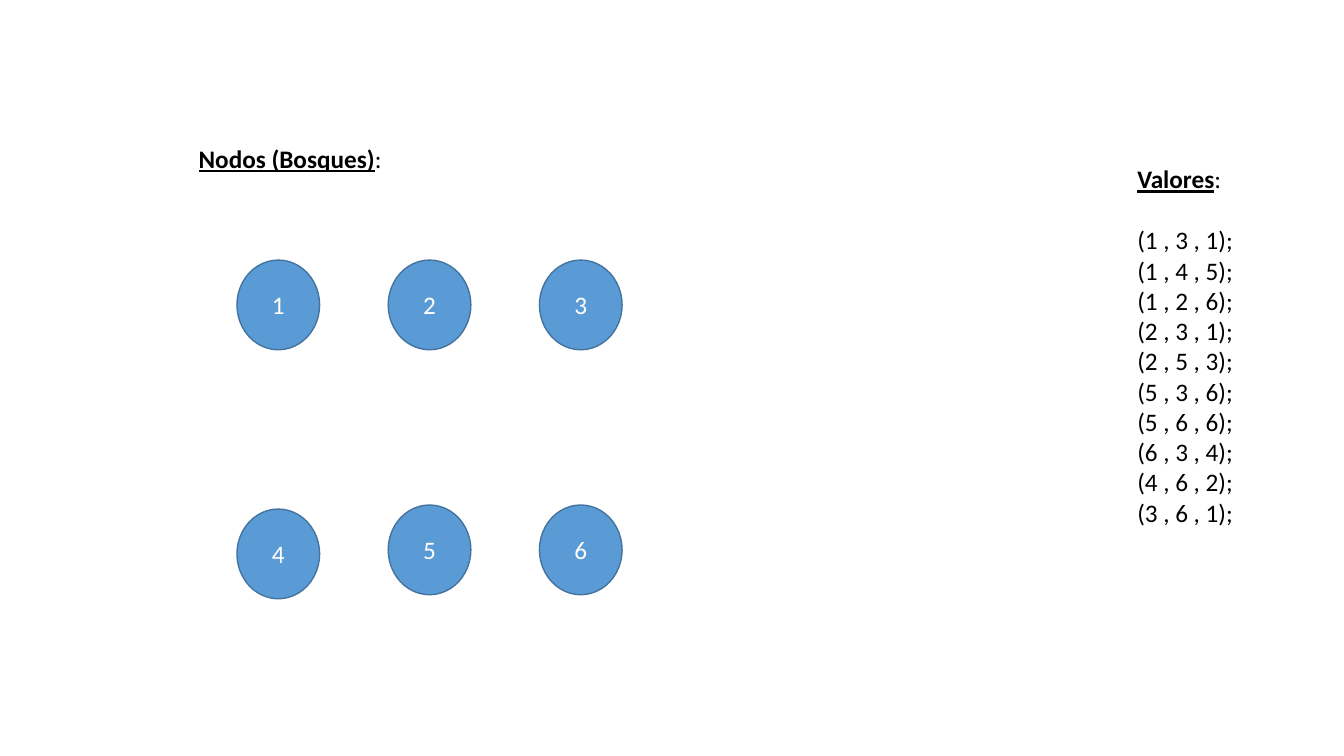
from lxml.etree import SubElement
from pptx import Presentation
from pptx.dml.color import RGBColor
from pptx.enum.shapes import MSO_SHAPE as Shape
from pptx.enum.text import MSO_ANCHOR as Anchor, MSO_AUTO_SIZE as AutoSize, PP_ALIGN as Align
from pptx.oxml.ns import qn
from pptx.util import Inches, Pt

COLORS = {"text": "000000", "node": "5B9BD5", "node_line": "43739E", "node_text": "FFFFFF"}
FONT = "Calibri"
LINE_HEIGHT = 22  # points, one line of 18 pt text

EDGES = [(1, 3, 1), (1, 4, 5), (1, 2, 6), (2, 3, 1), (2, 5, 3),
         (5, 3, 6), (5, 6, 6), (6, 3, 4), (4, 6, 2), (3, 6, 1)]


def rgb(key):
    return RGBColor.from_string(COLORS[key])


def add_run(paragraph, text, color="text", size=18, bold=False, underline=False):
    run = paragraph.add_run()
    run.text = text
    font = run.font
    font.name, font.size = FONT, Pt(size)
    font.bold, font.underline = bold, underline
    font.color.rgb = rgb(color)


def add_heading(paragraph, text):
    """Underlined bold heading with a plain colon."""
    add_run(paragraph, text, bold=True, underline=True)
    add_run(paragraph, ":")


def place(holder, left, top, width, height, anchor):
    holder.left, holder.top = Inches(left), Inches(top)
    holder.width, holder.height = Inches(width), Inches(height)
    frame = holder.text_frame
    frame.word_wrap = True
    frame.auto_size = AutoSize.NONE
    frame.vertical_anchor = anchor
    return frame


def plain_paragraph(paragraph, after=0):
    """Left-aligned paragraph without bullet or indent."""
    paragraph.alignment = Align.LEFT
    paragraph.space_before, paragraph.space_after = Pt(0), Pt(after)
    props = paragraph._p.get_or_add_pPr()
    props.set("marL", "0")
    props.set("indent", "0")
    SubElement(props, qn("a:buNone"))


def add_nodes_title(slide, left, top, width, height):
    frame = place(slide.shapes.title, left, top, width, height, Anchor.TOP)
    plain_paragraph(frame.paragraphs[0])
    add_heading(frame.paragraphs[0], "Nodos (Bosques)")


def add_values(slide, left, top, width, height):
    frame = place(slide.placeholders[1], left, top, width, height, Anchor.BOTTOM)
    heading = frame.paragraphs[0]
    plain_paragraph(heading, after=LINE_HEIGHT)
    add_heading(heading, "Valores")
    for start, end, weight in EDGES:
        edge = frame.add_paragraph()
        plain_paragraph(edge)
        add_run(edge, f"({start} , {end} , {weight});")


def add_node(slide, number, left, top, width=0.82, height=0.89):
    node = slide.shapes.add_shape(Shape.FLOWCHART_CONNECTOR, Inches(left), Inches(top),
                                  Inches(width), Inches(height))
    node.shadow.inherit = False
    node.fill.solid()
    node.fill.fore_color.rgb = rgb("node")
    node.line.color.rgb = rgb("node_line")
    node.line.width = Pt(1)
    node.text_frame.vertical_anchor = Anchor.MIDDLE
    label = node.text_frame.paragraphs[0]
    label.alignment = Align.CENTER
    add_run(label, str(number), color="node_text")


def add_forest(slide, left, top, column_step=1.5, row_step=2.43, columns=3, count=6):
    drops = {4: 0.04}  # node 4 sits slightly below its row
    for index in range(count):
        row, column = divmod(index, columns)
        number = index + 1
        add_node(slide, number, left + column * column_step,
                 top + row * row_step + drops.get(number, 0))


prs = Presentation()
prs.slide_width, prs.slide_height = Inches(13.33), Inches(7.5)
graph_slide = prs.slides.add_slide(prs.slide_layouts[1])

# Heading and list of weighted edges
add_nodes_title(graph_slide, 1.87, 1.37, 5.78, 0.4)
add_values(graph_slide, 11.18, 1.24, 1.25, 4.04)

# Grid of numbered nodes
add_forest(graph_slide, 2.35, 2.58)

prs.save("out.pptx")
